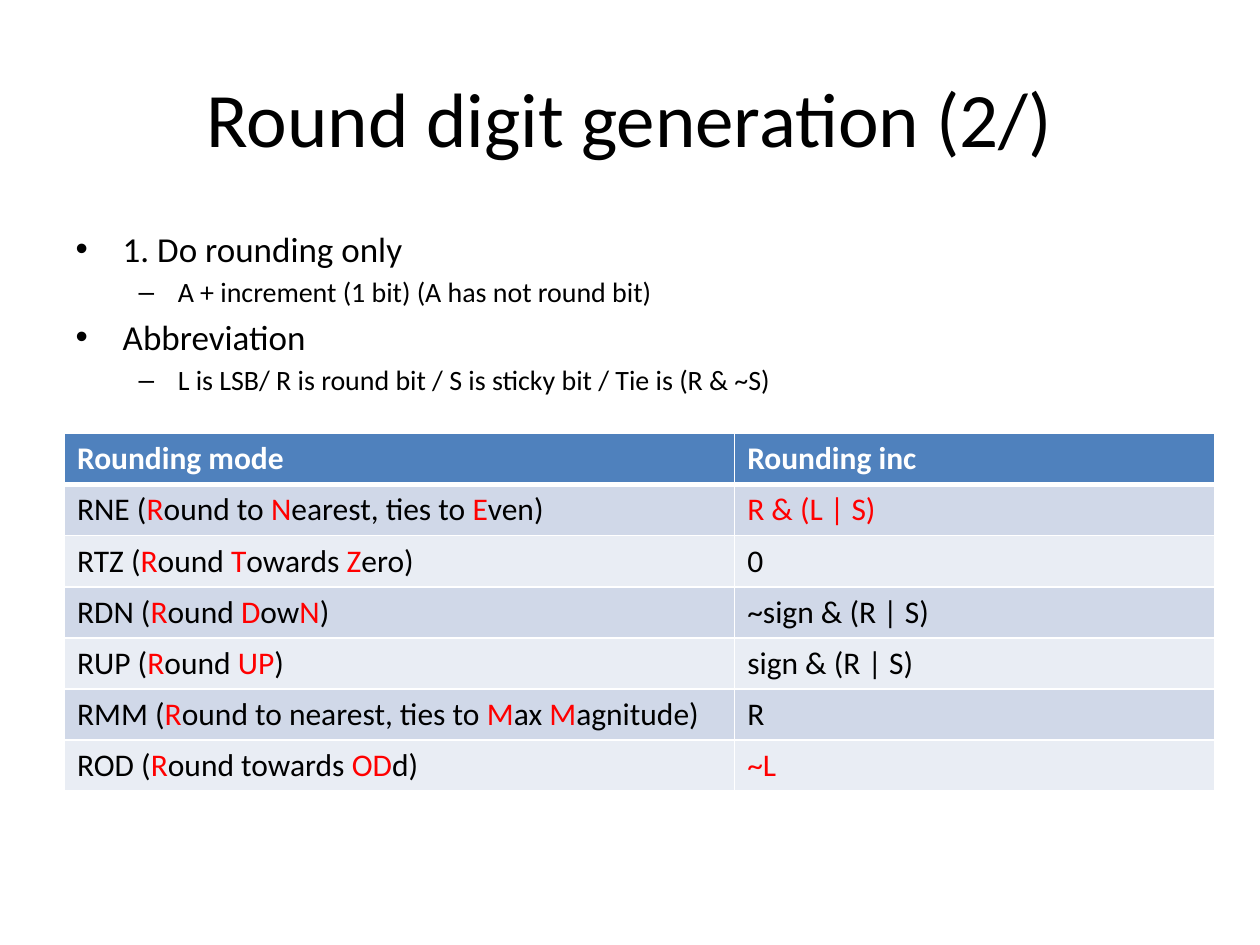
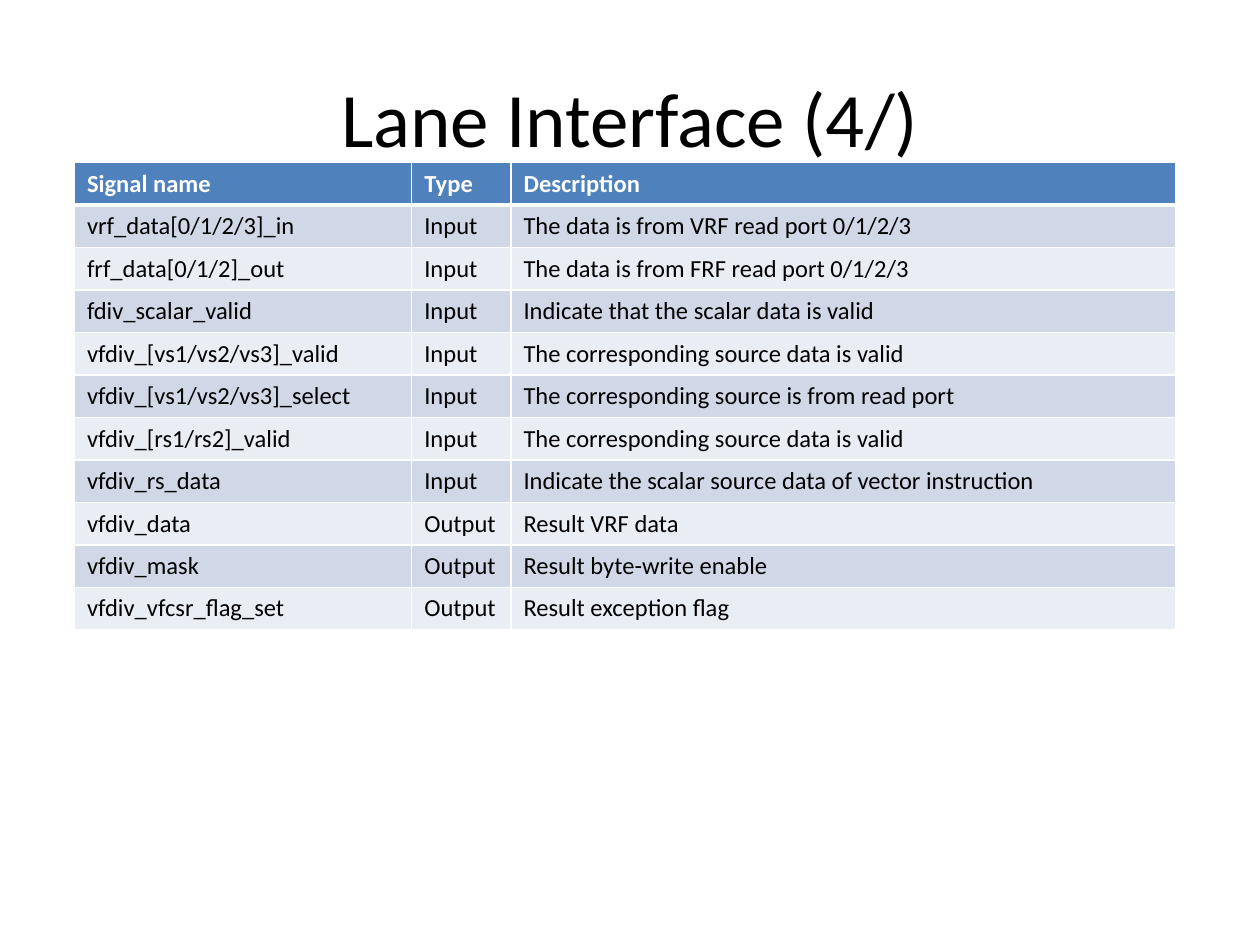
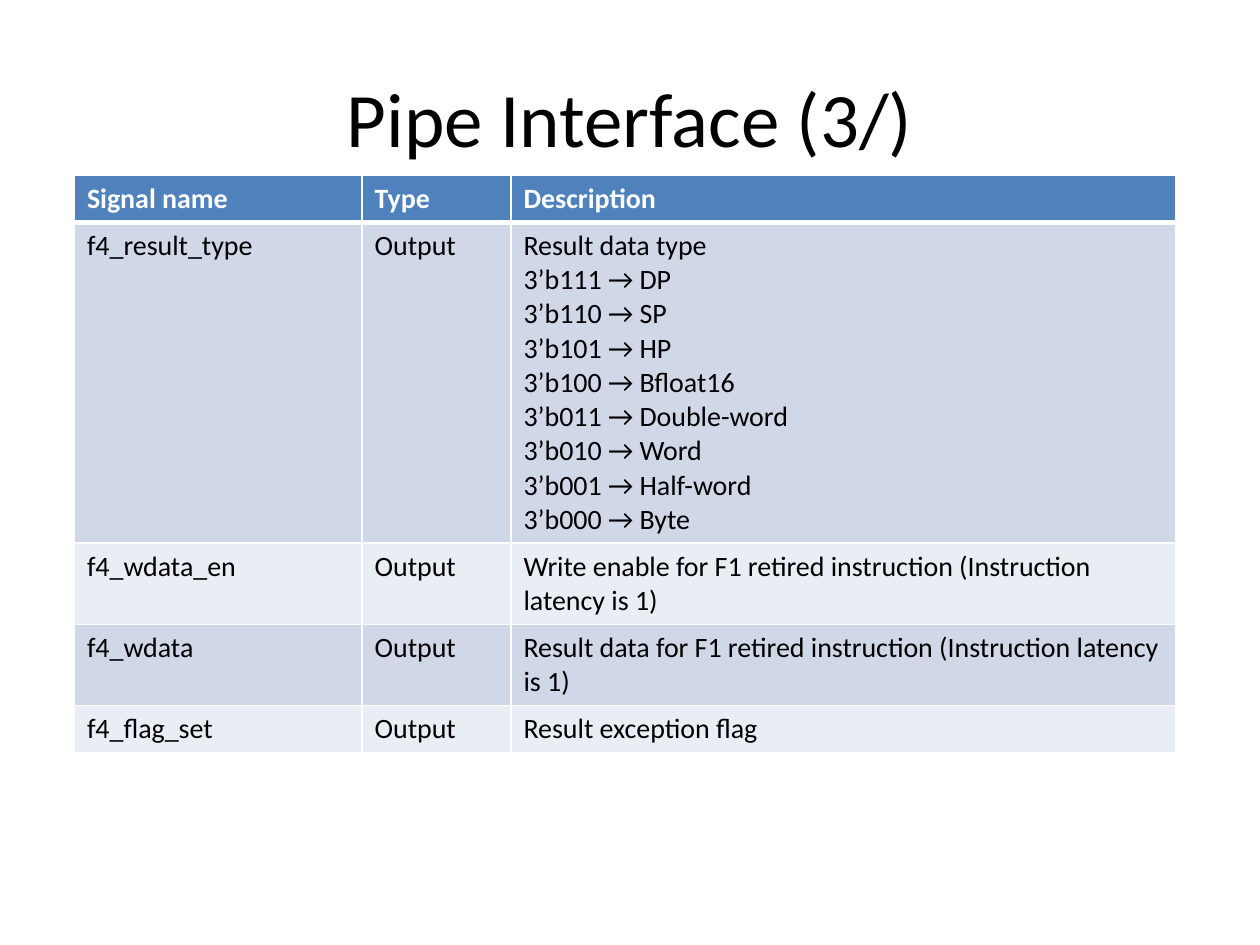
from dataclasses import dataclass

from lxml import etree
from pptx import Presentation
from pptx.dml.color import RGBColor
from pptx.enum.text import MSO_ANCHOR, PP_ALIGN
from pptx.oxml.ns import qn
from pptx.util import Cm, Pt

CENTER = PP_ALIGN.CENTER
MIDDLE = MSO_ANCHOR.MIDDLE
TITLE_AND_CONTENT, TITLE_ONLY = 1, 5


@dataclass(frozen=True)
class Theme:
    font: str = "Calibri"
    text: str = "000000"
    accent: str = "FF0000"
    header_text: str = "FFFFFF"
    header_fill: str = "4F81BD"
    band_fills: tuple = ("D0D8E8", "E9EDF4")
    border: str = "FFFFFF"
    title_size: int = 44
    list_sizes: tuple = (20, 16)
    list_indents: tuple = ((0.95, -0.95), (2.06, -0.79))
    border_width: int = 1
    header_rule_width: int = 3
    line_factor: float = 0.043
    cell_padding: float = 0.25


class Deck:
    def __init__(self, theme):
        self.theme = theme
        self.presentation = Presentation()
        self.presentation.slide_width = Cm(25.4)
        self.presentation.slide_height = Cm(19.05)
        self.slide = None

    def format_font(self, font, size, color, bold=False):
        font.name = self.theme.font
        font.size = Pt(size)
        font.bold = bold
        font.color.rgb = RGBColor.from_string(color)

    def place(self, shape, left, top, width, height):
        shape.left, shape.top = Cm(left), Cm(top)
        shape.width, shape.height = Cm(width), Cm(height)

    def add_slide(self, heading, layout=TITLE_ONLY):
        layouts = self.presentation.slide_layouts
        self.slide = self.presentation.slides.add_slide(layouts[layout])
        title = self.slide.shapes.title
        self.place(title, 1.27, 0.76, 22.86, 3.18)
        title.text_frame.text = heading
        title.text_frame.vertical_anchor = MIDDLE
        paragraph = title.text_frame.paragraphs[0]
        paragraph.alignment = CENTER
        self.format_font(paragraph.runs[0].font, self.theme.title_size, self.theme.text)

    def add_list(self, items):
        body = self.slide.placeholders[1]
        self.place(body, 1.27, 4.45, 22.86, 12.57)
        frame = body.text_frame
        frame.text = "\n".join(text for _, text in items)
        for paragraph, (level, _) in zip(frame.paragraphs, items):
            paragraph.level = level
            margin, indent = self.theme.list_indents[level]
            properties = paragraph._p.get_or_add_pPr()
            properties.set("marL", str(Cm(margin)))
            properties.set("indent", str(Cm(indent)))
            self.format_font(paragraph.runs[0].font, self.theme.list_sizes[level], self.theme.text)
        frame.paragraphs[0].space_before = Pt(0)

    def add_table(self, left, top, widths, size, rows, line_counts=None):
        line_counts = line_counts or [1] * len(rows)
        heights = [
            count * size * self.theme.line_factor + self.theme.cell_padding
            for count in line_counts
        ]
        table = self.slide.shapes.add_table(
            len(rows), len(widths), Cm(left), Cm(top), Cm(sum(widths)), Cm(sum(heights))
        ).table
        for column, width in zip(table.columns, widths):
            column.width = Cm(width)
        for index, (row, height, texts) in enumerate(zip(table.rows, heights, rows)):
            row.height = Cm(height)
            for cell, text in zip(row.cells, texts):
                self.fill_cell(cell, text, size, index)

    def fill_cell(self, cell, text, size, row_index):
        theme = self.theme
        header = row_index == 0
        fill = theme.header_fill if header else theme.band_fills[(row_index - 1) % 2]
        color = theme.header_text if header else theme.text
        self.add_borders(cell, header, row_index == 1)
        cell.fill.solid()
        cell.fill.fore_color.rgb = RGBColor.from_string(fill)
        lines = text.split("\n")
        frame = cell.text_frame
        for index, line in enumerate(lines):
            paragraph = frame.add_paragraph() if index else frame.paragraphs[0]
            for part, piece in enumerate(line.split("*")):
                if piece:
                    run = paragraph.add_run()
                    run.text = piece
                    self.format_font(run.font, size, theme.accent if part % 2 else color, header)

    def add_borders(self, cell, header, below_header):
        properties = cell._tc.get_or_add_tcPr()
        for side in ("lnL", "lnR", "lnT", "lnB"):
            thick = (header and side == "lnB") or (below_header and side == "lnT")
            width = self.theme.header_rule_width if thick else self.theme.border_width
            line = etree.SubElement(properties, qn(f"a:{side}"), w=str(Pt(width)))
            fill = etree.SubElement(line, qn("a:solidFill"))
            etree.SubElement(fill, qn("a:srgbClr"), val=self.theme.border)


ROUNDING_NOTES = [
    (0, "1. Do rounding only"),
    (1, "A + increment (1 bit) (A has not round bit)"),
    (0, "Abbreviation"),
    (1, "L is LSB/ R is round bit / S is sticky bit / Tie is (R & ~S)"),
]

ROUNDING_MODES = [
    ("Rounding mode", "Rounding inc"),
    ("RNE (*R*ound to *N*earest, ties to *E*ven)", "*R & (L | S)*"),
    ("RTZ (*R*ound *T*owards *Z*ero)", "0"),
    ("RDN (*R*ound *D*ow*N*)", "~sign & (R | S)"),
    ("RUP (*R*ound *UP*)", "sign & (R | S)"),
    ("RMM (*R*ound to nearest, ties to *M*ax *M*agnitude)", "R"),
    ("ROD (*R*ound towards *OD*d)", "*~L*"),
]

SIGNAL_HEADER = ("Signal name", "Type", "Description")

LANE_SIGNALS = [
    SIGNAL_HEADER,
    ("vrf_data[0/1/2/3]_in", "Input", "The data is from VRF read port 0/1/2/3"),
    ("frf_data[0/1/2]_out", "Input", "The data is from FRF read port 0/1/2/3"),
    ("fdiv_scalar_valid", "Input", "Indicate that the scalar data is valid"),
    ("vfdiv_[vs1/vs2/vs3]_valid", "Input", "The corresponding source data is valid"),
    ("vfdiv_[vs1/vs2/vs3]_select", "Input", "The corresponding source is from read port"),
    ("vfdiv_[rs1/rs2]_valid", "Input", "The corresponding source data is valid"),
    ("vfdiv_rs_data", "Input", "Indicate the scalar source data of vector instruction"),
    ("vfdiv_data", "Output", "Result VRF data"),
    ("vfdiv_mask", "Output", "Result byte-write enable"),
    ("vfdiv_vfcsr_flag_set", "Output", "Result exception flag"),
]

RESULT_TYPES = [
    "Result data type",
    "3’b111 → DP",
    "3’b110 → SP",
    "3’b101 → HP",
    "3’b100 → Bfloat16",
    "3’b011 → Double-word",
    "3’b010 → Word",
    "3’b001 → Half-word",
    "3’b000 → Byte",
]

PIPE_SIGNALS = [
    SIGNAL_HEADER,
    ("f4_result_type", "Output", "\n".join(RESULT_TYPES)),
    ("f4_wdata_en", "Output", "Write enable for F1 retired instruction (Instruction latency is 1)"),
    ("f4_wdata", "Output", "Result data for F1 retired instruction (Instruction latency is 1)"),
    ("f4_flag_set", "Output", "Result exception flag"),
]


def main():
    deck = Deck(Theme())

    deck.add_slide("Round digit generation (2/)", TITLE_AND_CONTENT)
    deck.add_list(ROUNDING_NOTES)
    deck.add_table(1.3, 8.74, (13.51, 9.68), 18, ROUNDING_MODES)

    deck.add_slide("Lane Interface (4/)")
    deck.add_table(1.5, 3.28, (6.8, 2, 13.4), 14, LANE_SIGNALS)

    deck.add_slide("Pipe Interface (3/)")
    deck.add_table(1.5, 3.54, (5.8, 3, 13.4), 16, PIPE_SIGNALS, (1, len(RESULT_TYPES), 2, 2, 1))

    deck.presentation.save("out.pptx")


if __name__ == "__main__":
    main()
